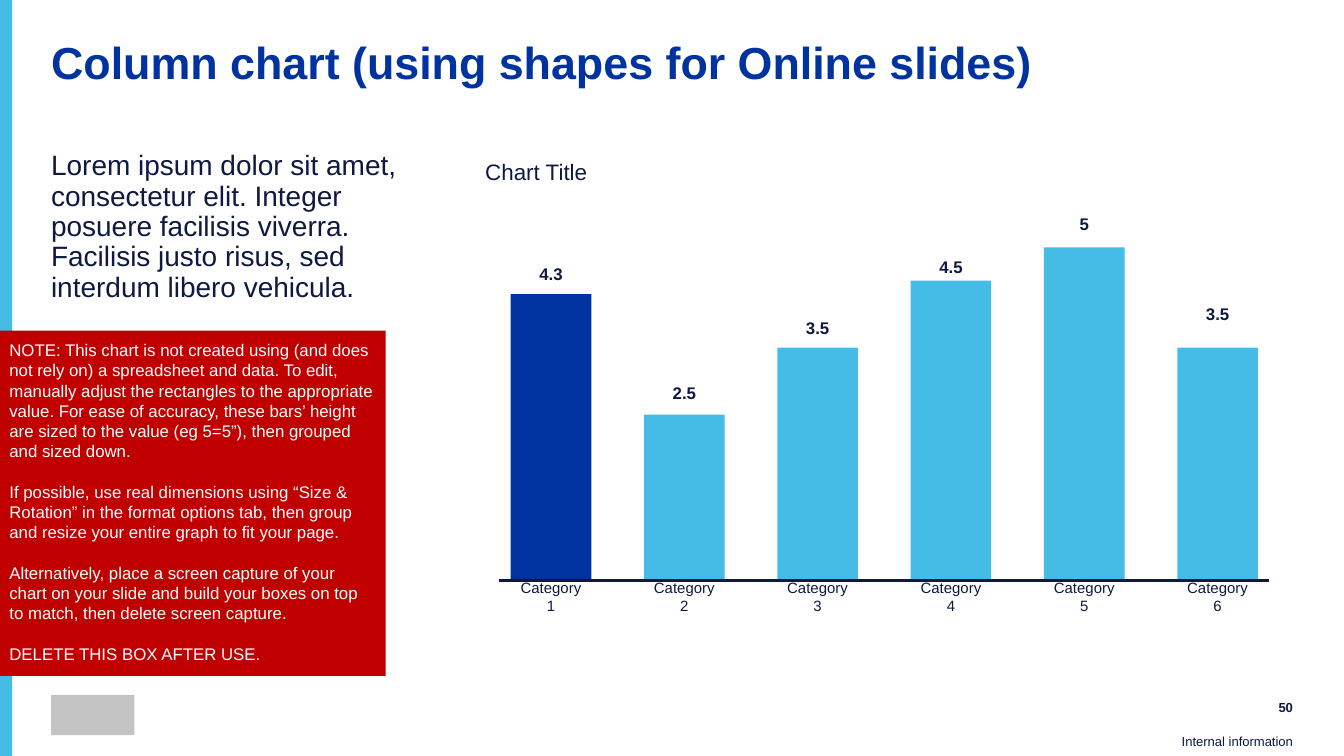
from lxml.etree import SubElement
from pptx import Presentation
from pptx.dml.color import RGBColor
from pptx.enum.shapes import MSO_CONNECTOR, MSO_SHAPE
from pptx.enum.text import MSO_ANCHOR, PP_ALIGN
from pptx.oxml.ns import qn
from pptx.util import Inches, Pt

NAVY, BLUE, SKY = "0E1941", "0033A0", "45BCE5"
RED, WHITE, GREY = "C00000", "FFFFFF", "C3C3C3"

SLIDE_WIDTH = 10
SLIDE_HEIGHT = SLIDE_WIDTH * 9 / 16

BARS = [
    ("Category 1", 4.3, 1.92, BLUE),
    ("Category 2", 2.5, 2.81, SKY),
    ("Category 3", 3.5, 2.32, SKY),
    ("Category 4", 4.5, 1.87, SKY),
    ("Category 5", 5, 1.55, SKY),
    ("Category 6", 3.5, 2.22, SKY),
]
FIRST_BAR, LAST_BAR, BAR_WIDTH = 3.8, 8.76, 0.6
BAR_PITCH = (LAST_BAR - FIRST_BAR) / (len(BARS) - 1)
BASELINE, INCHES_PER_UNIT = 4.33, 2.49 / 5

BODY = ("Lorem ipsum dolor sit amet, consectetur elit. Integer posuere facilisis "
        "viverra. Facilisis justo risus, sed interdum libero vehicula.")
NOTE = [
    "NOTE: This chart is not created using (and does not rely on) a spreadsheet and "
    "data. To edit, manually adjust the rectangles to the appropriate value. For ease "
    "of accuracy, these bars’ height are sized to the value (eg 5=5”), then grouped "
    "and sized down.",
    "If possible, use real dimensions using “Size & Rotation” in the format options "
    "tab, then group and resize your entire graph to fit your page.",
    "Alternatively, place a screen capture of your chart on your slide and build your "
    "boxes on top to match, then delete screen capture.",
    "DELETE THIS BOX AFTER USE.",
]


def color(value):
    return RGBColor.from_string(value)


def apply_format(target, values):
    for name, value in values.items():
        setattr(target, name, value)


def write_text(shape, paragraphs, size, font_color=NAVY, bold=False, inset=0.0,
               bottom=None, align=PP_ALIGN.LEFT, anchor=MSO_ANCHOR.TOP,
               line_spacing=None, gap=0):
    frame = shape.text_frame
    apply_format(frame, {
        "word_wrap": True,
        "vertical_anchor": anchor,
        "margin_left": Inches(inset),
        "margin_right": Inches(inset),
        "margin_top": Inches(inset),
        "margin_bottom": Inches(inset if bottom is None else bottom),
    })
    for index, text in enumerate(paragraphs):
        paragraph = frame.add_paragraph() if index else frame.paragraphs[0]
        apply_format(paragraph, {"alignment": align, "line_spacing": line_spacing})
        if index and gap:
            paragraph.space_before = Pt(gap)
        run = paragraph.add_run()
        run.text = text
        apply_format(run.font, {"name": "Arial", "size": Pt(size), "bold": bold})
        run.font.color.rgb = color(font_color)


def add_text(slide, box, text, size, **options):
    shape = slide.shapes.add_textbox(*map(Inches, box))
    write_text(shape, [text], size, **options)


def add_rectangle(slide, box, fill):
    shape = slide.shapes.add_shape(MSO_SHAPE.RECTANGLE, *map(Inches, box))
    shape.shadow.inherit = False
    shape.fill.solid()
    shape.fill.fore_color.rgb = color(fill)
    shape.line.fill.background()
    return shape


def add_axis(slide, left, right, top):
    axis = slide.shapes.add_connector(
        MSO_CONNECTOR.STRAIGHT, Inches(left), Inches(top), Inches(right), Inches(top))
    axis.line.color.rgb = color(NAVY)
    axis.line.width = Pt(1.5)
    SubElement(axis._element.spPr, qn("a:effectLst"))


def add_column_chart(slide):
    centered = {"inset": 0.04, "align": PP_ALIGN.CENTER, "anchor": MSO_ANCHOR.MIDDLE}
    add_text(slide, (3.57, 1.14, 1.62, 0.28), "Chart Title", 12, inset=0.04)
    for index, (category, value, label_top, fill) in enumerate(BARS):
        left = FIRST_BAR + index * BAR_PITCH
        height = value * INCHES_PER_UNIT
        add_rectangle(slide, (left, BASELINE - height, BAR_WIDTH, height), fill)
        add_text(slide, (left, label_top, BAR_WIDTH, 0.23), str(value), 9,
                 bold=True, **centered)
        add_text(slide, (left, 4.34, BAR_WIDTH, 0.2), category, 8, **centered)
    add_axis(slide, 3.71, 9.44, 4.32)


def add_footer(slide):
    add_rectangle(slide, (0.38, 5.17, 0.62, 0.3), GREY)
    add_text(slide, (9.03, 5.17, 0.59, 0.18), "50", 7, bold=True,
             align=PP_ALIGN.RIGHT, anchor=MSO_ANCHOR.MIDDLE)
    add_text(slide, (8.72, 5.46, 0.9, 0.16), "Internal information", 7, bottom=0.05,
             align=PP_ALIGN.RIGHT, anchor=MSO_ANCHOR.BOTTOM)


def main():
    presentation = Presentation()
    apply_format(presentation, {
        "slide_width": Inches(SLIDE_WIDTH),
        "slide_height": Inches(SLIDE_HEIGHT),
    })
    slide = presentation.slides.add_slide(presentation.slide_layouts[6])
    add_rectangle(slide, (0, 0, 0.09, SLIDE_HEIGHT), SKY)
    add_footer(slide)
    add_text(slide, (0.38, 0.3, 9.25, 0.49),
             "Column chart (using shapes for Online slides)", 24,
             font_color=BLUE, bold=True, line_spacing=0.9)
    add_text(slide, (0.38, 1.13, 2.85, 3.9), BODY, 15, line_spacing=0.9)
    add_column_chart(slide)
    note = add_rectangle(slide, (0, 2.46, 2.87, 2.57), RED)
    write_text(note, NOTE, 9, font_color=WHITE, inset=0.07, gap=10.9)
    presentation.save("out.pptx")


if __name__ == "__main__":
    main()
